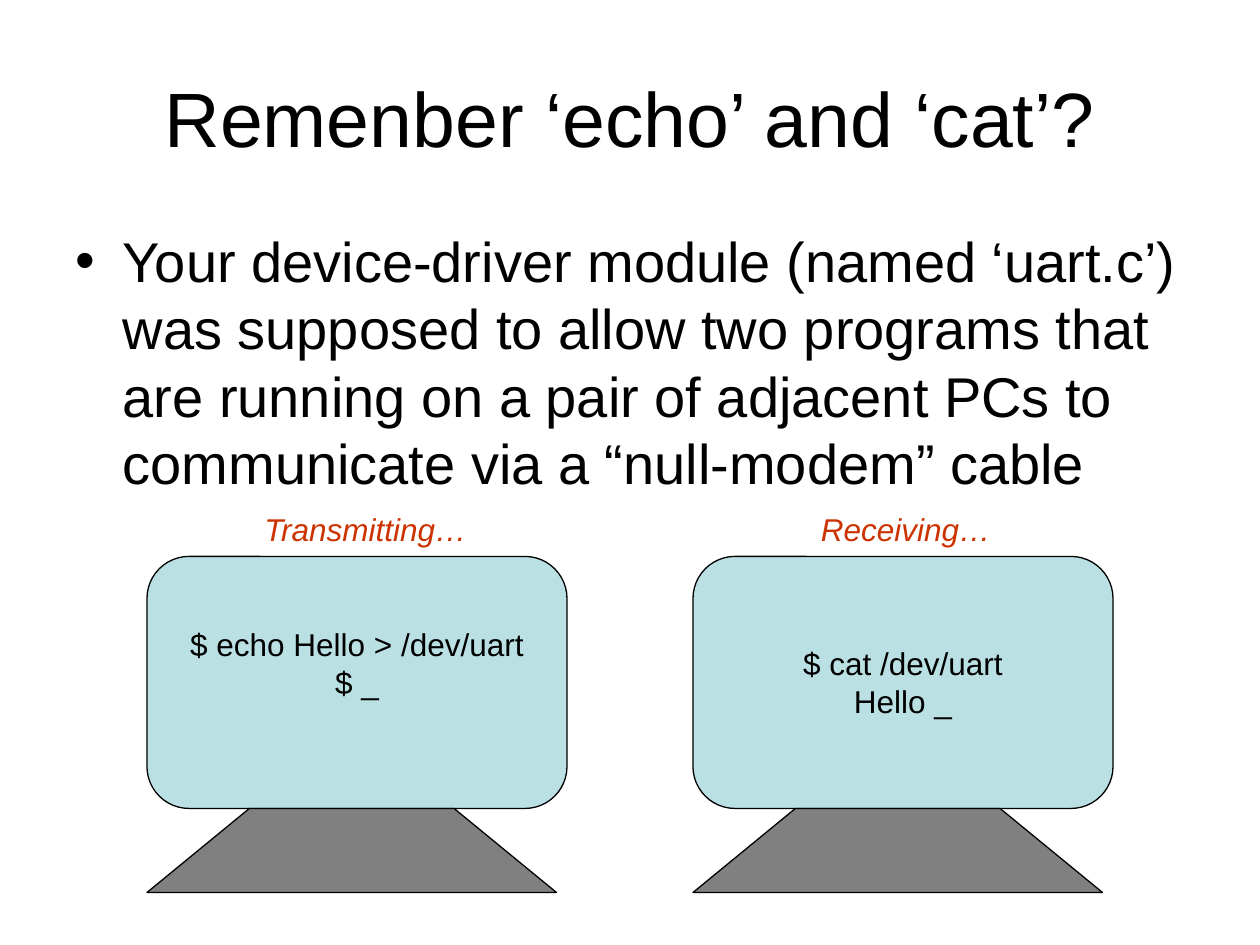
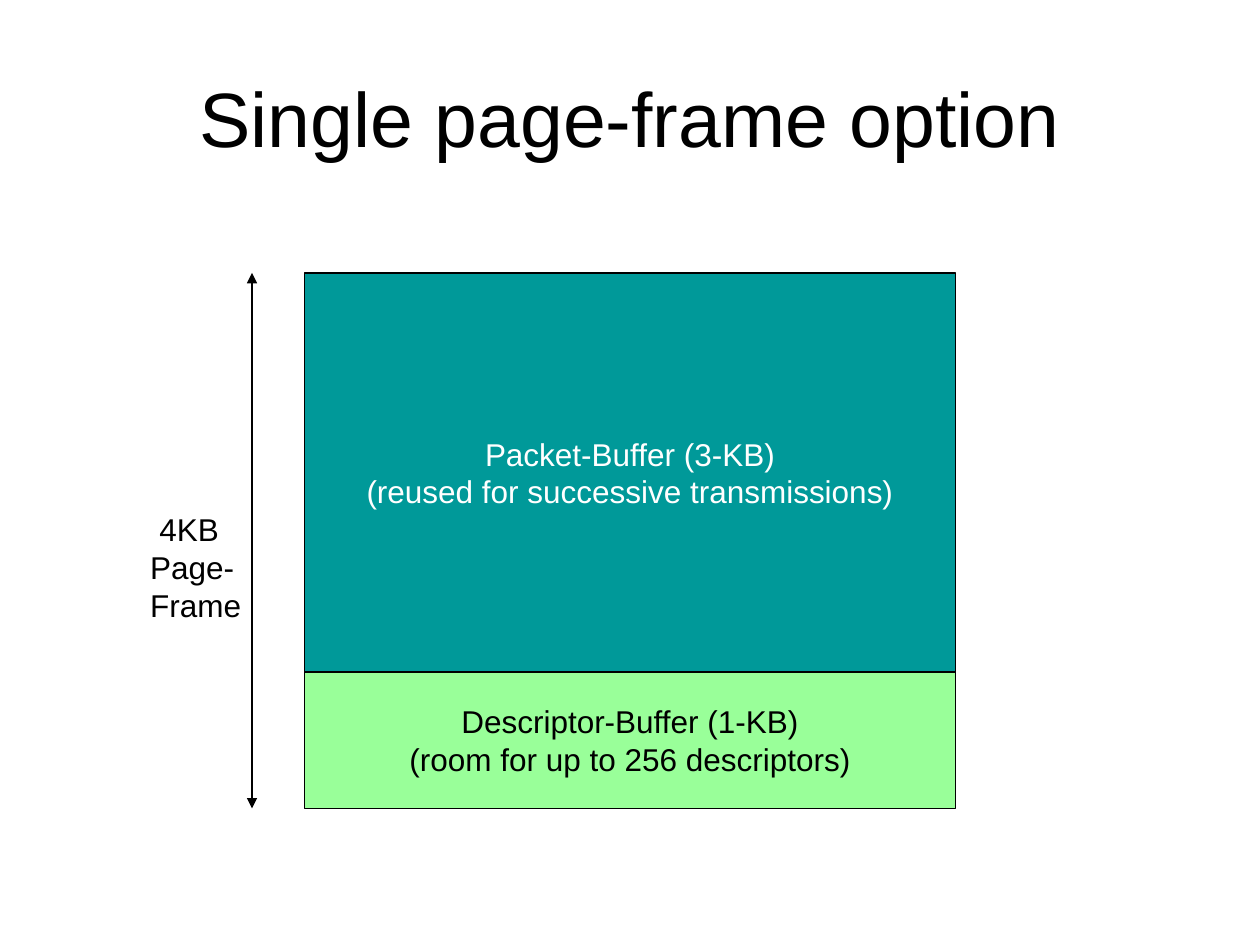
from lxml.etree import SubElement
from pptx import Presentation
from pptx.dml.color import RGBColor
from pptx.enum.shapes import MSO_CONNECTOR, MSO_SHAPE
from pptx.enum.text import MSO_ANCHOR, MSO_AUTO_SIZE, PP_ALIGN
from pptx.oxml.ns import qn
from pptx.util import Pt

PX = 9525
TITLE_ONLY = 5
BLACK = "000000"
WHITE = "FFFFFF"
SCREEN = "BBE0E3"
STAND = "808080"
CAPTION = "CC3300"
PACKET = "009999"
DESCRIPTOR = "99FF99"


def color(code):
    return RGBColor.from_string(code)


def write(frame, text, size=18, ink=BLACK, italic=False, align=PP_ALIGN.LEFT,
          anchor=MSO_ANCHOR.TOP, wrap=False, first_indent=0, bullet=None, hanging=0):
    frame.auto_size = MSO_AUTO_SIZE.NONE
    frame.word_wrap = wrap
    frame.vertical_anchor = anchor
    for index, line in enumerate(text.split("\n")):
        para = frame.add_paragraph() if index else frame.paragraphs[0]
        para.alignment = align
        properties = para._p.get_or_add_pPr()
        if bullet:
            properties.set("marL", str(hanging * PX))
            properties.set("indent", str(-hanging * PX))
            SubElement(properties, qn("a:buFont"), typeface="Arial")
            SubElement(properties, qn("a:buChar"), char=bullet)
        elif first_indent and index == 0:
            properties.set("indent", str(first_indent * PX))
        span = para.add_run()
        span.text = line
        span.font.name = "Arial"
        span.font.size = Pt(size)
        span.font.italic = italic
        span.font.color.rgb = color(ink)


class Pages:
    def __init__(self):
        self.deck = Presentation()
        self.deck.slide_width = 960 * PX
        self.deck.slide_height = 720 * PX
        self.page = None

    def start(self, title):
        self.page = self.deck.slides.add_slide(self.deck.slide_layouts[TITLE_ONLY])
        self.page.background.fill.solid()
        self.page.background.fill.fore_color.rgb = color(WHITE)
        box = self.page.shapes.title
        box.left, box.top, box.width, box.height = (n * PX for n in (48, 29, 864, 120))
        write(box.text_frame, title, size=44, align=PP_ALIGN.CENTER,
              anchor=MSO_ANCHOR.MIDDLE, wrap=True)

    def text(self, left, top, width, height, words, **style):
        box = self.page.shapes.add_textbox(left * PX, top * PX, width * PX, height * PX)
        write(box.text_frame, words, **style)

    def paint(self, shape, fill):
        shape.shadow.inherit = False
        shape.fill.solid()
        shape.fill.fore_color.rgb = color(fill)
        shape.line.color.rgb = color(BLACK)
        shape.line.width = Pt(0.75)

    def block(self, kind, left, top, width, height, fill, words, lift=0, **style):
        box = self.page.shapes.add_shape(kind, left * PX, top * PX, width * PX, height * PX)
        self.paint(box, fill)
        box.text_frame.margin_bottom = (5 + lift) * PX
        write(box.text_frame, words, align=PP_ALIGN.CENTER, anchor=MSO_ANCHOR.MIDDLE, **style)

    def stand(self, left, top, width, height):
        quarter = width // 4
        bottom = top + height
        builder = self.page.shapes.build_freeform(left + width, bottom, scale=PX)
        builder.add_line_segments([(left, bottom), (left + quarter, top),
                                   (left + 3 * quarter, top)], close=True)
        self.paint(builder.convert_to_shape(), STAND)

    def monitor(self, left, words, lift=0):
        self.block(MSO_SHAPE.ROUNDED_RECTANGLE, left, 424, 320, 192, SCREEN, words, lift=lift)
        self.stand(left, 616, 312, 64)

    def double_arrow(self, x, top, bottom):
        arrow = self.page.shapes.add_connector(
            MSO_CONNECTOR.STRAIGHT, x * PX, top * PX, x * PX, bottom * PX)
        arrow.line.color.rgb = color(BLACK)
        arrow.line.width = Pt(0.75)
        line = arrow.line._get_or_add_ln()
        for end in ("a:headEnd", "a:tailEnd"):
            SubElement(line, qn(end), type="triangle")
        SubElement(arrow._element.spPr, qn("a:effectLst"))


def echo_and_cat(pages):
    pages.start("Remenber ‘echo’ and ‘cat’?")
    pages.text(48, 168, 864, 475,
               "Your device-driver module (named ‘uart.c’) was supposed to allow two programs "
               "that are running on a pair of adjacent PCs to communicate via a "
               "“null-modem” cable",
               size=32, wrap=True, bullet="•", hanging=36)
    pages.monitor(112, "$ echo Hello > /dev/uart\n$ _", lift=29)
    pages.monitor(528, "$ cat /dev/uart\nHello _")
    pages.text(192, 384, 175, 38, "Transmitting…", ink=CAPTION, italic=True)
    pages.text(616, 384, 149, 38, "Receiving…", ink=CAPTION, italic=True)


def single_page_frame(pages):
    left, top, width = 232, 208, 496
    packet_height, descriptor_height = 304, 104
    middle = top + packet_height
    pages.start("Single page-frame option")
    pages.block(MSO_SHAPE.RECTANGLE, left, top, width, packet_height, PACKET,
                "Packet-Buffer (3-KB)\n(reused for successive transmissions)", ink=WHITE)
    pages.block(MSO_SHAPE.RECTANGLE, left, middle, width, descriptor_height, DESCRIPTOR,
                "Descriptor-Buffer (1-KB)\n(room for up to 256 descriptors)")
    pages.text(105, 384, 88, 96, "4KB\nPage-\nFrame", first_indent=7)
    pages.double_arrow(192, top, middle + descriptor_height)


def main():
    pages = Pages()
    echo_and_cat(pages)
    single_page_frame(pages)
    pages.deck.save("out.pptx")


if __name__ == "__main__":
    main()
